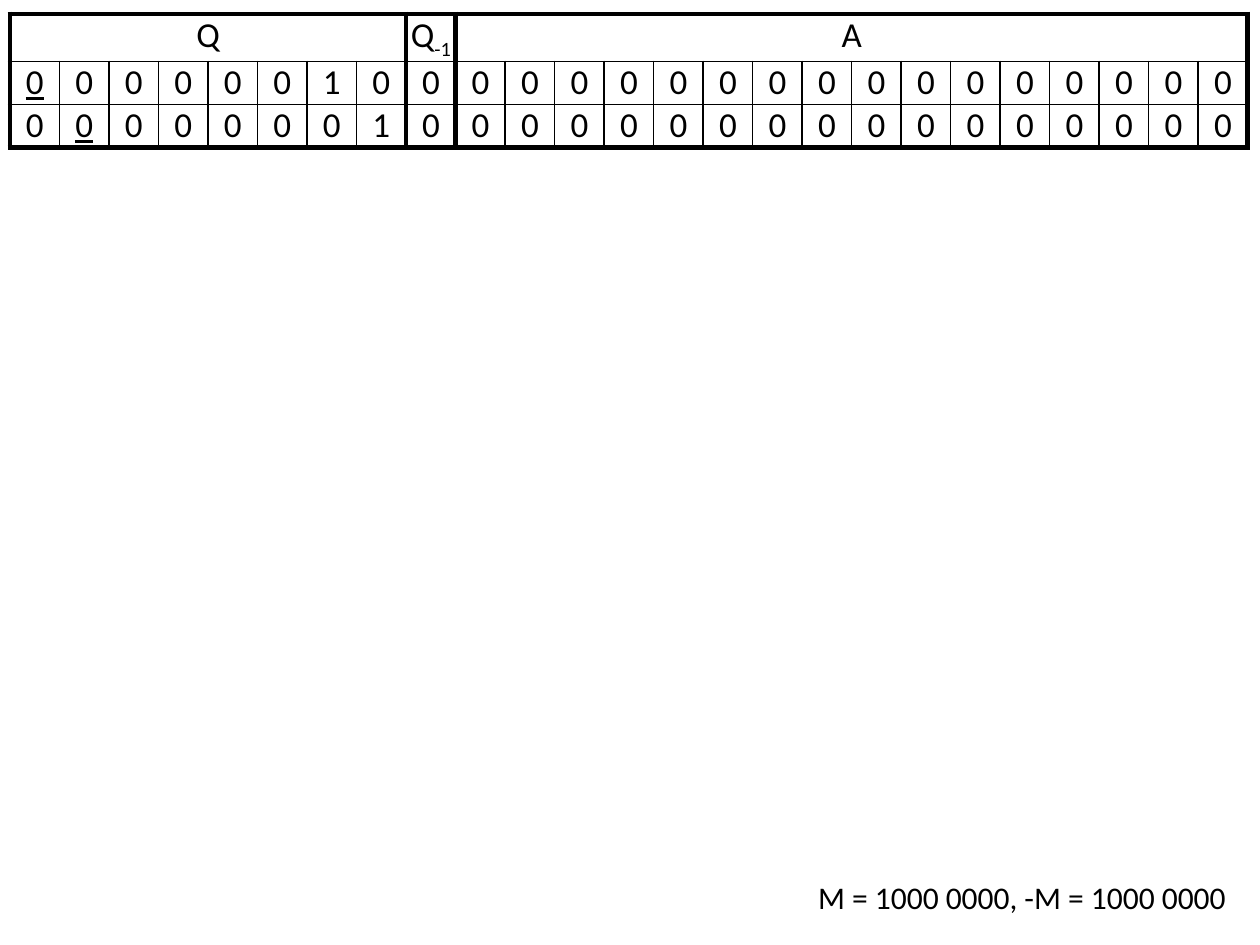
from lxml.etree import SubElement
from pptx import Presentation
from pptx.dml.color import RGBColor
from pptx.enum.text import MSO_AUTO_SIZE, PP_ALIGN
from pptx.oxml.ns import qn
from pptx.util import Inches, Pt

COLORS = {"ink": "000000"}
FONT = "Calibri"
THIN, THICK = 1, 3

# Register name, subscript, width in bits
REGISTERS = [("Q", "", 8), ("Q", "-1", 1), ("A", "", 16)]
# Bits of Q, Q-1 and A, then the index of the underlined bit
STEPS = [
    (("00000010", "0", "0" * 16), 0),
    (("00000001", "0", "0" * 16), 1),
]
OPERANDS = "M = 1000 0000, -M = 1000 0000"

SLIDE_W, SLIDE_H = 10, 7.5
TABLE_X, TABLE_Y, TABLE_W, ROW_H = 0.08, 0.11, 9.83, 0.32
NOTE = (6, 6.92, 3.83, 0.4)


def add_span(para, text, size=20, underline=False):
    span = para.add_run()
    span.text = text
    span.font.name = FONT
    span.font.size = Pt(size)
    span.font.underline = underline
    span.font.color.rgb = RGBColor.from_string(COLORS["ink"])
    return span


def style_cell(cell, left, top, right, bottom):
    """Draw the four borders, clear fill and margins; return the paragraph."""
    props = cell._tc.get_or_add_tcPr()
    for side, width in zip("LRTB", (left, right, top, bottom)):
        line = SubElement(props, qn(f"a:ln{side}"), w=str(Pt(width)))
        fill = SubElement(line, qn("a:solidFill"))
        SubElement(fill, qn("a:srgbClr"), val=COLORS["ink"])
    cell.fill.background()
    cell.margin_left = cell.margin_right = 0
    cell.margin_top = cell.margin_bottom = 0
    para = cell.text_frame.paragraphs[0]
    para.alignment = PP_ALIGN.CENTER
    return para


def add_register_table(page):
    bit_count = sum(width for _, _, width in REGISTERS)
    row_count = len(STEPS) + 1
    frame = page.shapes.add_table(
        row_count, bit_count, Inches(TABLE_X), Inches(TABLE_Y),
        Inches(TABLE_W), Inches(ROW_H * row_count))
    table = frame.table
    table.first_row = table.horz_banding = False
    for column in table.columns:
        column.width = Inches(TABLE_W / bit_count)
    for row in table.rows:
        row.height = Inches(ROW_H)

    start = 0
    for index, (name, subscript, width) in enumerate(REGISTERS):
        last = start + width - 1
        header = table.cell(0, start)
        if width > 1:
            header.merge(table.cell(0, last))
        para = style_cell(header, THICK, THICK, THICK, THIN)
        add_span(para, name)
        if subscript:
            add_span(para, subscript).font._element.set("baseline", "-25000")

        for row, (values, marked) in enumerate(STEPS, 1):
            bottom = THICK if row == len(STEPS) else THIN
            for col, bit in enumerate(values[index], start):
                para = style_cell(
                    table.cell(row, col),
                    THICK if col == start else THIN, THIN,
                    THICK if col == last else THIN, bottom)
                add_span(para, bit, underline=col == marked)
        start += width


def add_operands(page):
    box = page.shapes.add_textbox(*map(Inches, NOTE))
    box.text_frame.word_wrap = True
    box.text_frame.auto_size = MSO_AUTO_SIZE.SHAPE_TO_FIT_TEXT
    para = box.text_frame.paragraphs[0]
    para.alignment = PP_ALIGN.RIGHT
    add_span(para, OPERANDS, size=18)


def main():
    deck = Presentation()
    deck.slide_width, deck.slide_height = Inches(SLIDE_W), Inches(SLIDE_H)
    page = deck.slides.add_slide(deck.slide_layouts[6])
    add_register_table(page)
    add_operands(page)
    deck.save("out.pptx")


if __name__ == "__main__":
    main()
